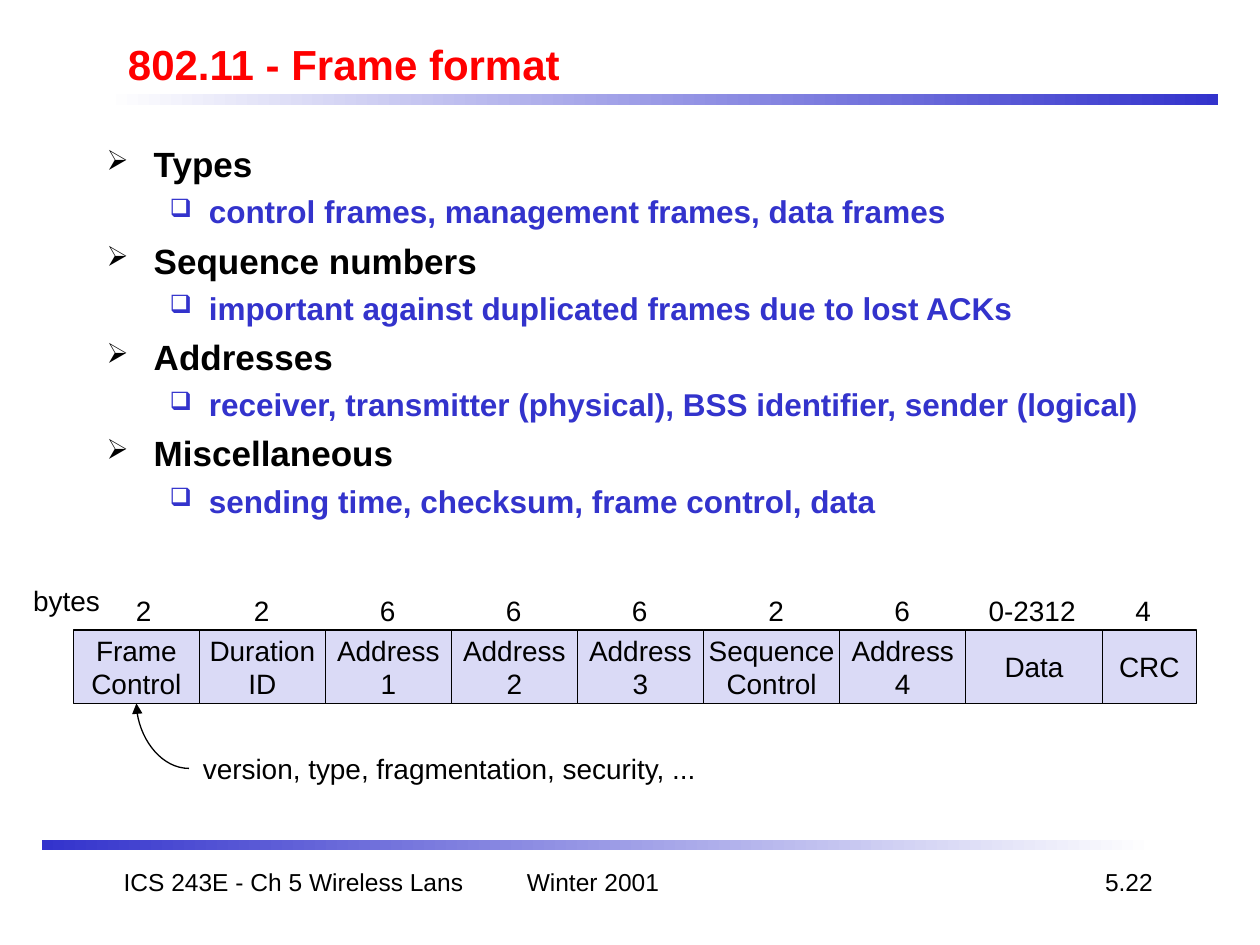
from dataclasses import dataclass

from lxml import etree
from pptx import Presentation
from pptx import util as u
from pptx.dml.color import RGBColor
from pptx.enum import shapes, text
from pptx.oxml import ns


@dataclass(frozen=True)
class Theme:
    font: str = "Arial"
    black: str = "000000"
    white: str = "FFFFFF"
    red: str = "FF0000"
    blue: str = "3333CC"
    lavender: str = "DADAF6"
    title_size: float = 24
    topic_size: float = 20
    detail_size: float = 18
    frame_size: float = 16
    footer_size: float = 14
    outline: float = 0.75


THEME = Theme()
LEFT, CENTER, RIGHT = text.PP_ALIGN.LEFT, text.PP_ALIGN.CENTER, text.PP_ALIGN.RIGHT

TOPICS = [
    ("Types", "control frames, management frames, data frames"),
    ("Sequence numbers", "important against duplicated frames due to lost ACKs"),
    ("Addresses", "receiver, transmitter (physical), BSS identifier, sender (logical)"),
    ("Miscellaneous", "sending time, checksum, frame control, data"),
]
LEVELS = [
    dict(bullet="➢", color=THEME.black, size=THEME.topic_size,
         margin=0.95, hanging=0.95, before=5),
    dict(bullet="❑", color=THEME.blue, size=THEME.detail_size,
         margin=2.06, hanging=0.79, before=4.5),
]
FIELDS = [
    ("Frame\nControl", 2.54, "2", 1.01),
    ("Duration\nID", 2.54, "2", 0.85),
    ("Address\n1", 2.54, "6", 0.85),
    ("Address\n2", 2.54, "6", 0.85),
    ("Address\n3", 2.54, "6", 0.85),
    ("Sequence\nControl", 2.75, "2", 1.06),
    ("Address\n4", 2.54, "6", 0.85),
    ("Data", 2.75, "0-2312", 0.21),
    ("CRC", 1.9, "4", 0.42),
]
FRAME_LEFT, FRAME_TOP, FRAME_HEIGHT = 1.48, 12.7, 1.48
BYTES_TOP, LABEL_HEIGHT = 11.85, 0.94


def cm(*lengths):
    return [u.Cm(length) for length in lengths]


def apply(target, formats):
    for name, value in formats.items():
        setattr(target, name, value)


def add_run(paragraph, words, size, color, bold=False):
    run = paragraph.add_run()
    run.text = words
    apply(run.font, {"name": THEME.font, "size": u.Pt(size), "bold": bold})
    run.font.color.rgb = RGBColor.from_string(color)


def fill_text(frame, words, size, color=THEME.black, bold=False, align=LEFT, **formats):
    apply(frame, formats)
    for number, line in enumerate(words.split("\n")):
        paragraph = frame.add_paragraph() if number else frame.paragraphs[0]
        paragraph.alignment = align
        add_run(paragraph, line, size, color, bold)


def add_label(slide, box, words, size, **formats):
    label = slide.shapes.add_textbox(*cm(*box))
    fill_text(label.text_frame, words, size, **formats)


def add_rectangle(slide, box):
    rectangle = slide.shapes.add_shape(shapes.MSO_SHAPE.RECTANGLE, *cm(*box))
    rectangle.shadow.inherit = False
    return rectangle


def add_rule(slide, left, top, colors):
    rule = add_rectangle(slide, (left, top, 22.44, 0.21))
    rule.line.fill.background()
    rule.fill.gradient()
    rule.fill.gradient_angle = 0
    for stop, color in zip(rule.fill.gradient_stops, colors):
        stop.color.rgb = RGBColor.from_string(color)


def add_bullet(paragraph, level):
    properties = paragraph._p.get_or_add_pPr()
    properties.set("marL", str(u.Cm(level["margin"])))
    properties.set("indent", str(-u.Cm(level["hanging"])))
    color = etree.SubElement(properties, ns.qn("a:buClr"))
    etree.SubElement(color, ns.qn("a:srgbClr"), val=level["color"])
    etree.SubElement(properties, ns.qn("a:buSzPct"), val="80000")
    etree.SubElement(properties, ns.qn("a:buChar"), char=level["bullet"])


def add_outline(slide):
    frame = slide.shapes.add_textbox(*cm(1.9, 2.75, 22.65, 8.04)).text_frame
    frame.word_wrap = True
    entries = [entry for topic in TOPICS for entry in zip(topic, LEVELS, (0, 1))]
    for number, (words, level, depth) in enumerate(entries):
        paragraph = frame.add_paragraph() if number else frame.paragraphs[0]
        before = u.Pt(level["before"] if number else 0)
        apply(paragraph, {"level": depth, "space_before": before})
        add_bullet(paragraph, level)
        add_run(paragraph, words, level["size"], level["color"], bold=True)


def add_field(slide, left, width, name):
    field = add_rectangle(slide, (left, FRAME_TOP, width, FRAME_HEIGHT))
    field.fill.solid()
    field.fill.fore_color.rgb = RGBColor.from_string(THEME.lavender)
    field.line.color.rgb = RGBColor.from_string(THEME.black)
    field.line.width = u.Pt(THEME.outline)
    fill_text(field.text_frame, name, THEME.frame_size, align=CENTER,
              word_wrap=False, vertical_anchor=text.MSO_ANCHOR.MIDDLE)


def add_frame_format(slide):
    left = FRAME_LEFT
    for name, width, size_in_bytes, offset in FIELDS:
        add_field(slide, left, width, name)
        label_width = 0.81 if len(size_in_bytes) == 1 else 2.26
        add_label(slide, (left + offset, BYTES_TOP, label_width, LABEL_HEIGHT),
                  size_in_bytes, THEME.frame_size, word_wrap=False)
        left += width
    add_label(slide, (0.42, 11.64, 1.87, LABEL_HEIGHT), "bytes",
              THEME.frame_size, word_wrap=False)
    add_label(slide, (3.84, 15.03, 10.49, LABEL_HEIGHT),
              "version, type, fragmentation, security, ...",
              THEME.frame_size, word_wrap=False)


def add_curved_arrow(slide, left, top, right, bottom):
    arrow = slide.shapes.add_connector(
        shapes.MSO_CONNECTOR.CURVE, *cm(left, top, right, bottom))
    arrow.line.color.rgb = RGBColor.from_string(THEME.black)
    arrow.line.width = u.Pt(THEME.outline)
    properties = arrow._element.spPr
    properties.find(ns.qn("a:xfrm")).set("rot", "10800000")
    properties.find(ns.qn("a:prstGeom")).set("prst", "curvedConnector2")
    etree.SubElement(properties.find(ns.qn("a:ln")), ns.qn("a:tailEnd"), type="triangle")
    etree.SubElement(properties, ns.qn("a:effectLst"))


def add_footer(slide):
    for left, width, words, align in [
        (10.37, 5.29, "Winter 2001", LEFT),
        (1.9, 8.04, "ICS 243E - Ch 5 Wireless Lans", CENTER),
        (18.2, 5.29, "5.22", RIGHT),
    ]:
        add_label(slide, (left, 17.36, width, 1.27), words, THEME.footer_size,
                  align=align, word_wrap=True)


def main():
    deck = Presentation()
    apply(deck, {"slide_width": u.Cm(25.4), "slide_height": u.Cm(19.05)})
    slide = deck.slides.add_slide(deck.slide_layouts[6])
    add_rule(slide, 2.12, 1.9, (THEME.white, THEME.blue))
    add_rule(slide, 0.85, 16.93, (THEME.blue, THEME.white))
    add_footer(slide)
    add_label(slide, (2.33, 0.64, 21.59, 1.27), "802.11 - Frame format",
              THEME.title_size, color=THEME.red, bold=True, word_wrap=True,
              vertical_anchor=text.MSO_ANCHOR.MIDDLE)
    add_outline(slide)
    add_frame_format(slide)
    add_curved_arrow(slide, 2.75, 14.18, 3.81, 15.49)
    deck.save("out.pptx")


if __name__ == "__main__":
    main()
